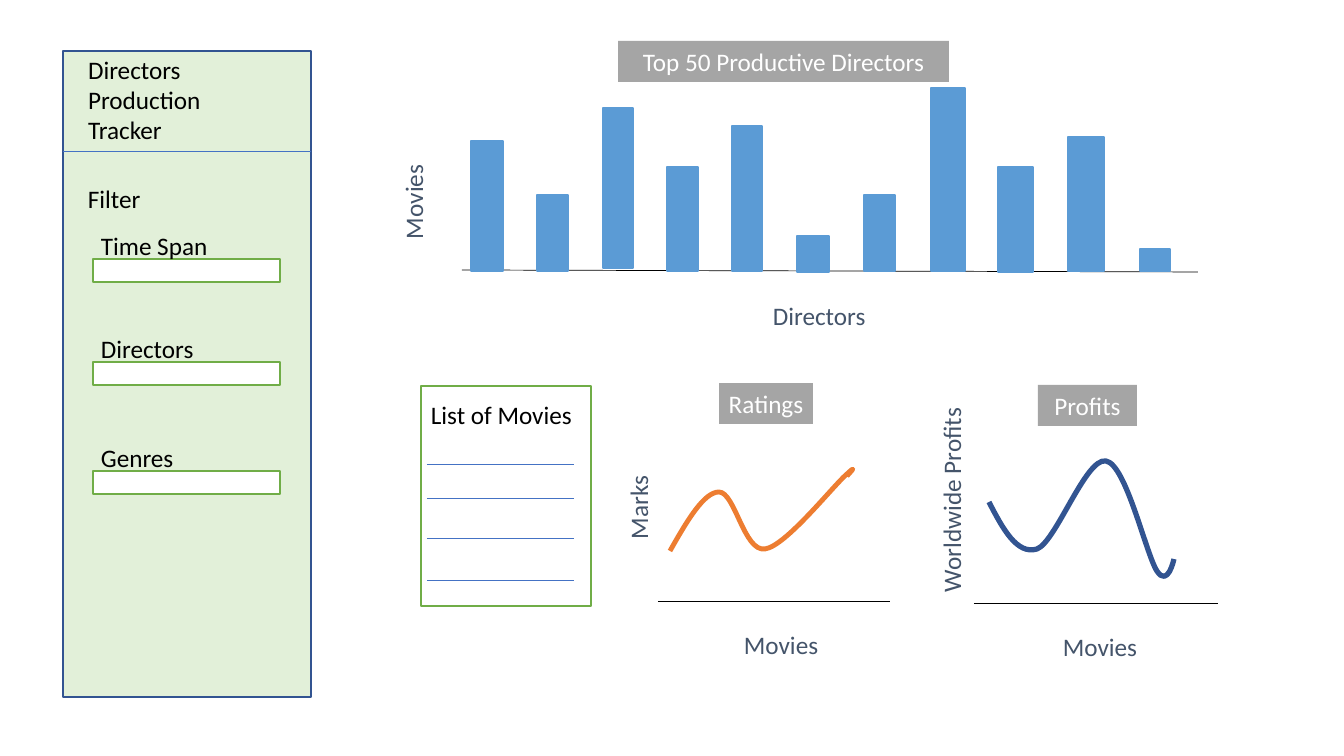
from lxml.etree import SubElement
from pptx import Presentation
from pptx.dml.color import RGBColor
from pptx.enum.shapes import MSO_CONNECTOR, MSO_SHAPE
from pptx.enum.text import MSO_ANCHOR, MSO_AUTO_SIZE, PP_ALIGN
from pptx.oxml.ns import qn
from pptx.util import Emu, Pt

EMU_PER_PIXEL = 914400 / 100.8
BLACK = RGBColor(0x00, 0x00, 0x00)
WHITE = RGBColor(0xFF, 0xFF, 0xFF)
GREY = RGBColor(0xA5, 0xA5, 0xA5)
SLATE = RGBColor(0x44, 0x54, 0x6A)
BAR_BLUE = RGBColor(0x5B, 0x9B, 0xD5)
RULE_BLUE = RGBColor(0x44, 0x72, 0xC4)
NAVY = RGBColor(0x32, 0x54, 0x91)
ORANGE = RGBColor(0xED, 0x7D, 0x31)
GREEN = RGBColor(0x70, 0xAD, 0x47)
PALE_GREEN = RGBColor(0xE2, 0xF0, 0xD9)


def px(*lengths):
    """Turn pixel lengths into EMU."""
    return [Emu(round(length * EMU_PER_PIXEL)) for length in lengths]


class Wireframe:
    """Holds the text style and the current slide."""

    font_name = "Calibri"
    font_size = Pt(18)

    def __init__(self, slide):
        """Start drawing on the slide."""
        self.slide = slide
        self.shapes = slide.shapes

    def fill_text(self, shape, lines, color, align=PP_ALIGN.LEFT, wrap=True):
        """Put one paragraph per line into a shape."""
        frame = shape.text_frame
        frame.word_wrap = wrap
        frame.auto_size = MSO_AUTO_SIZE.NONE
        frame.vertical_anchor = MSO_ANCHOR.TOP
        for index, line in enumerate(lines):
            paragraph = frame.add_paragraph() if index else frame.paragraphs[0]
            paragraph.alignment = align
            paragraph.line_spacing = 1.0
            paragraph.space_before = Pt(0)
            run = paragraph.add_run()
            run.text = line
            run.font.name = self.font_name
            run.font.size = self.font_size
            run.font.color.rgb = color

    def title(self, lines, left, top, width, height):
        """Place the title placeholder in front of what is drawn so far."""
        title = self.shapes.title
        title.left, title.top, title.width, title.height = px(left, top, width, height)
        self.fill_text(title, lines, BLACK)
        element = title._element
        element.getparent().append(element)

    def text(self, text, left, top, width, height, color=SLATE, upward=False):
        """Add a text box, reading upward if asked."""
        box = self.shapes.add_textbox(*px(left, top, width, height))
        self.fill_text(box, [text], color)
        if upward:
            box.text_frame._txBody.bodyPr.set("vert", "vert270")

    def box(self, left, top, width, height, fill, outline=None):
        """Add a rectangle with an optional thin outline."""
        shape = self.shapes.add_shape(MSO_SHAPE.RECTANGLE, *px(left, top, width, height))
        shape.shadow.inherit = False
        shape.fill.solid()
        shape.fill.fore_color.rgb = fill
        if outline is None:
            shape.line.fill.background()
        else:
            shape.line.color.rgb = outline
            shape.line.width = Pt(1)
        return shape

    def heading(self, text, left, top, width):
        """Add a grey chart heading."""
        shape = self.box(left, top, width, 41, GREY)
        self.fill_text(shape, [text], WHITE, PP_ALIGN.CENTER, wrap=False)

    def line(self, x1, y1, x2, y2, color):
        """Add a thin straight line."""
        line = self.shapes.add_connector(MSO_CONNECTOR.STRAIGHT, *px(x1, y1, x2, y2))
        line.line.color.rgb = color
        line.line.width = Pt(0.5)
        SubElement(line._element.spPr, qn("a:effectLst"))

    def curve(self, points, color, width):
        """Draw Bezier segments: a start, then three points per segment."""
        builder = self.shapes.build_freeform(*points[0], scale=EMU_PER_PIXEL)
        builder.add_line_segments(points[1:], close=False)
        shape = builder.convert_to_shape()
        outline = next(shape._element.iter(qn("a:path")))
        steps = outline.findall(qn("a:lnTo"))
        for start in range(0, len(steps), 3):
            segment = SubElement(outline, qn("a:cubicBezTo"))
            for step in steps[start:start + 3]:
                segment.append(step[0])
                outline.remove(step)
        shape.shadow.inherit = False
        shape.fill.background()
        shape.line.color.rgb = color
        shape.line.width = Pt(width)


presentation = Presentation()
presentation.slide_width, presentation.slide_height = px(1344, 756)
slide = presentation.slides.add_slide(presentation.slide_layouts[5])
page = Wireframe(slide)

# Productive directors: left, top, width and height of each bar
DIRECTOR_BARS = [
    (471, 141, 32, 130), (537, 195, 31, 76), (603, 108, 30, 160),
    (667, 167, 31, 104), (732, 126, 30, 145), (797, 236, 32, 36),
    (864, 195, 31, 76), (931, 88, 34, 183), (998, 167, 35, 105),
    (1068, 137, 36, 134), (1140, 249, 30, 22),
]
page.heading("Top 50 Productive Directors", 618, 41, 331)
page.line(462, 270, 1198, 272, BLACK)
for bar in DIRECTOR_BARS:
    page.box(*bar, BAR_BLUE, BAR_BLUE)
page.text("Directors", 763, 295, 181, 40)
page.text("Movies", 393, 89, 50, 160, upward=True)

# Ratings
page.heading("Ratings", 719, 383, 94)
page.line(658, 601, 890, 601, BLACK)
page.curve([
    (670, 551), (687, 521), (704, 492), (719, 492),
    (735, 492), (744, 552), (765, 549),
    (786, 546), (833, 486), (847, 474),
    (860, 462), (847, 476), (847, 476),
], ORANGE, 3.5)
page.text("Movies", 734, 624, 144, 40)
page.text("Marks", 618, 389, 40, 160, upward=True)

# Profits
page.heading("Profits", 1038, 385, 99)
page.line(974, 603, 1218, 603, BLACK)
page.curve([
    (989, 502), (1003, 529), (1017, 555), (1037, 549),
    (1056, 542), (1086, 457), (1106, 461),
    (1126, 464), (1146, 554), (1157, 571),
    (1168, 588), (1174, 559), (1174, 559),
], NAVY, 3.75)
page.text("Movies", 1053, 626, 152, 41)
page.text("Worldwide Profits", 931, 390, 42, 212, upward=True)

# Filter panel
page.box(63, 51, 248, 646, PALE_GREEN, NAVY)
page.line(63, 151, 311, 151, RULE_BLUE)
page.title(["Directors", "Production", "Tracker"], 78, 49, 142, 102)
page.text("Filter", 78, 178, 125, 40, BLACK)
for name, top in [("Time Span", 259), ("Directors", 362), ("Genres", 471)]:
    page.box(93, top, 187, 23, WHITE, GREEN)
    page.text(name, 91, top - 34, 155, 40, BLACK)

# List of movies
page.box(421, 386, 170, 220, WHITE, GREEN)
page.text("List of Movies", 421, 394, 175, 40, BLACK)
for row in (464, 498, 538, 580):
    page.line(427, row, 574, row, RULE_BLUE)

presentation.save("out.pptx")
